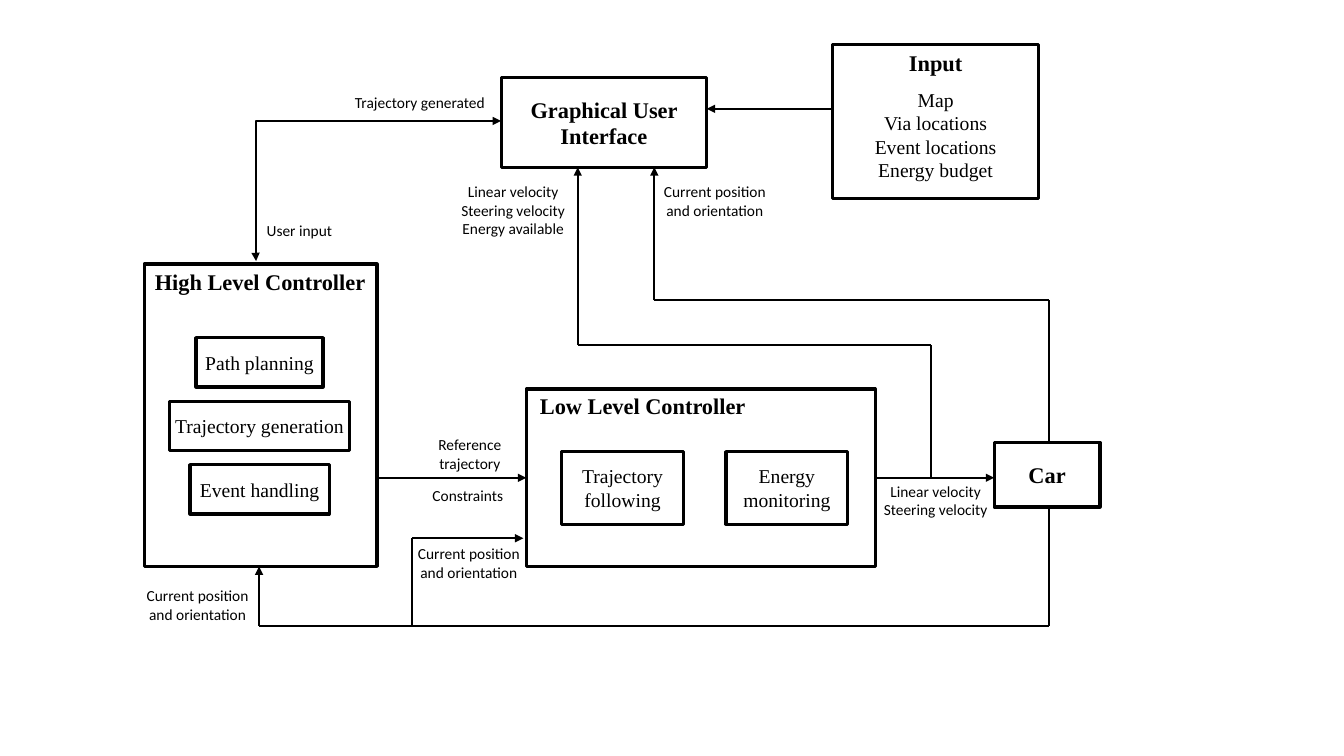
from lxml import etree
from pptx import Presentation
from pptx.dml.color import RGBColor
from pptx.enum.shapes import MSO_CONNECTOR, MSO_SHAPE
from pptx.enum.text import MSO_ANCHOR, PP_ALIGN
from pptx.oxml.ns import qn
from pptx.util import Inches, Pt

STRAIGHT, ELBOW = MSO_CONNECTOR.STRAIGHT, MSO_CONNECTOR.ELBOW
RECTANGLE = MSO_SHAPE.RECTANGLE
CENTER, MIDDLE = PP_ALIGN.CENTER, MSO_ANCHOR.MIDDLE
BLACK = "000000"
SERIF, SANS = "Times New Roman", "Calibri"

# Regions: left, top, width, height in inches
GUI = (4.97, 0.77, 2.04, 0.89)
INPUT = (8.26, 0.44, 2.04, 1.53)
HIGH_LEVEL = (1.43, 2.62, 2.31, 3.0)
LOW_LEVEL = (5.22, 3.86, 3.46, 1.76)
CAR = (9.86, 4.39, 1.05, 0.64)

POSITION = "Current position and orientation"
VELOCITIES = "Linear velocity\nSteering velocity"


def color(hex_string):
    return RGBColor.from_string(hex_string)


def write(frame, text, size, font, bold=False):
    frame.word_wrap = True
    frame.text = text
    for paragraph in frame.paragraphs:
        paragraph.alignment = CENTER
        for run in paragraph.runs:
            run.font.size = Pt(size)
            run.font.name = font
            run.font.bold = bold
            run.font.color.rgb = color(BLACK)


def add_label(slide, box, text, size=11, font=SANS, bold=False):
    label = slide.shapes.add_textbox(*map(Inches, box))
    write(label.text_frame, text, size, font, bold)


def add_block(slide, box, text="", size=14, bold=False):
    """Outlined rectangle with optional centred text."""
    block = slide.shapes.add_shape(RECTANGLE, *map(Inches, box))
    block.shadow.inherit = False
    block.fill.background()
    block.line.color.rgb = color(BLACK)
    block.line.width = Pt(2.25)
    if text:
        frame = block.text_frame
        frame.margin_left = frame.margin_right = 0
        frame.vertical_anchor = MIDDLE
        write(frame, text, size, SERIF, bold)


def add_link(slide, start, end, ends=(), kind=STRAIGHT):
    """Connector with an arrowhead at each of ends: headEnd, tailEnd."""
    link = slide.shapes.add_connector(kind, *map(Inches, start + end))
    link.line.color.rgb = color(BLACK)
    link.line.width = Pt(1.5)
    line = link.line._get_or_add_ln()
    for end_name in ends:
        etree.SubElement(line, qn(f"a:{end_name}"), type="triangle")
    etree.SubElement(link._element.spPr, qn("a:effectLst"))
    return link


def add_route(slide, *points, arrow=True):
    """Straight links through the points, the last one with an arrowhead."""
    for i, (start, end) in enumerate(zip(points, points[1:]), 2):
        is_last = i == len(points)
        add_link(slide, start, end, ("tailEnd",) if arrow and is_last else ())


def add_input(slide, box):
    left, top, width, height = box
    add_block(slide, box)
    add_label(slide, (left, top, width, 0.37), "Input", 16, SERIF, True)
    add_label(slide, (left, top + 0.38, width, 1.04),
              "Map\nVia locations\nEvent locations\nEnergy budget", 14, SERIF)


def add_high_level_controller(slide, box):
    left, top, width, height = box
    add_block(slide, box)
    add_label(slide, (left - 0.09, top - 0.01, width + 0.17, 0.37),
              "High Level Controller", 16, SERIF, True)
    modules = [("Path planning", 1.26), ("Trajectory generation", 1.79),
               ("Event handling", 1.38)]
    for i, (module, module_width) in enumerate(modules):
        module_left = left + (width - module_width) / 2 - 0.01
        add_block(slide, (module_left, top + 0.73 + 0.63 * i, module_width, 0.49),
                  module)


def add_low_level_controller(slide, box):
    left, top, width, height = box
    add_block(slide, box)
    add_label(slide, (left, top - 0.02, 2.31, 0.37),
              "Low Level Controller", 16, SERIF, True)
    for i, module in enumerate(["Trajectory following", "Energy monitoring"]):
        add_block(slide, (left + 0.35 + 1.63 * i, top + 0.62, 1.21, 0.72), module)


def add_signal_links(slide):
    gui_left, gui_bottom = GUI[0], GUI[1] + GUI[3]
    gui_right = GUI[0] + GUI[2]
    high_right, high_bottom = HIGH_LEVEL[0] + HIGH_LEVEL[2], HIGH_LEVEL[1] + HIGH_LEVEL[3]
    low_left, low_right = LOW_LEVEL[0], LOW_LEVEL[0] + LOW_LEVEL[2]
    car_left, car_top, car_bottom = CAR[0], CAR[1], CAR[1] + CAR[3]
    car_x, control_y, feedback_y = 10.4, 4.74, 6.21

    exchange = add_link(slide, (2.54, 2.59), (gui_left, 1.2),
                        ("headEnd", "tailEnd"), ELBOW)
    # Bend right at the start: up first, then across
    guides = exchange._element.spPr.find(qn("a:prstGeom")).get_or_add_avLst()
    etree.SubElement(guides, qn("a:gd"), name="adj1", fmla="val -200")

    add_route(slide, (INPUT[0], 1.08), (gui_right, 1.08))
    add_route(slide, (high_right, control_y), (low_left, control_y))
    add_route(slide, (low_right, control_y), (car_left, control_y))
    add_route(slide, (car_x, car_bottom), (car_x, feedback_y),
              (2.57, feedback_y), (2.57, high_bottom))
    add_route(slide, (4.09, feedback_y), (4.09, 5.34), (5.19, 5.34))
    add_route(slide, (car_x, car_top), (car_x, 2.98), (6.49, 2.98),
              (6.49, gui_bottom))
    add_route(slide, (9.23, control_y), (9.23, 3.42), (5.73, 3.42),
              (5.73, gui_bottom))


def add_signal_labels(slide):
    signals = [
        ((3.2, 0.87, 1.93, 0.29), "Trajectory generated"),
        ((2.13, 2.14, 1.68, 0.29), "User input"),
        ((4.25, 1.76, 1.68, 0.66), VELOCITIES + "\nEnergy available"),
        ((6.48, 1.76, 1.22, 0.47), POSITION),
        ((4.05, 4.27, 1.22, 0.47), "Reference trajectory"),
        ((4.03, 4.77, 1.22, 0.29), "Constraints"),
        ((4.04, 5.35, 1.22, 0.47), POSITION),
        ((1.35, 5.77, 1.22, 0.47), POSITION),
        ((8.44, 4.73, 1.68, 0.47), VELOCITIES),
    ]
    for box, signal in signals:
        add_label(slide, box, signal)


def main():
    deck = Presentation()
    deck.slide_width, deck.slide_height = Inches(13.33), Inches(7.5)
    slide = deck.slides.add_slide(deck.slide_layouts[6])
    add_block(slide, GUI, "Graphical User Interface", 16, True)
    add_input(slide, INPUT)
    add_high_level_controller(slide, HIGH_LEVEL)
    add_low_level_controller(slide, LOW_LEVEL)
    add_block(slide, CAR, "Car", 16, True)
    add_signal_links(slide)
    add_signal_labels(slide)
    deck.save("out.pptx")


if __name__ == "__main__":
    main()
